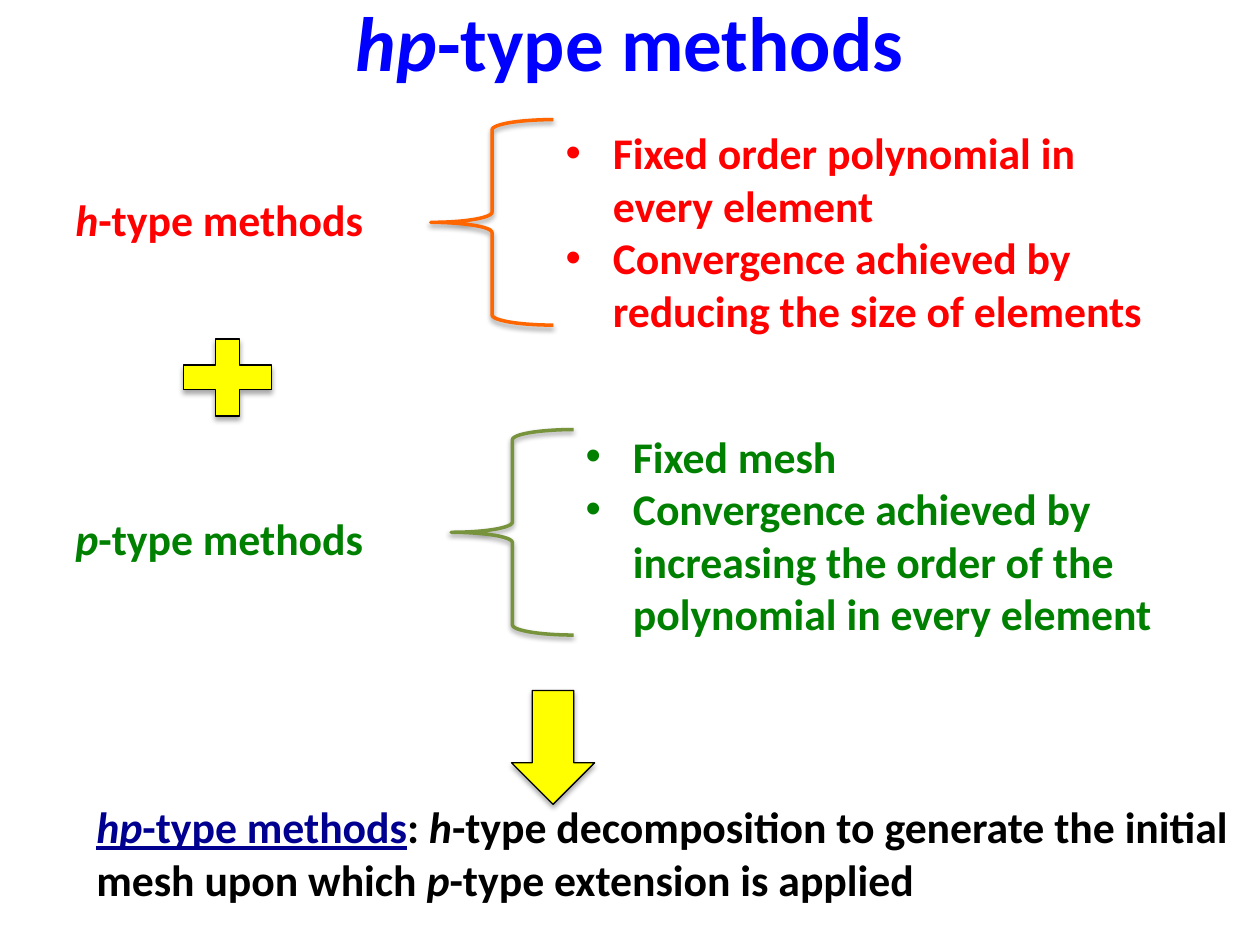
"""Builds a slide that explains hp-type methods."""
from dataclasses import dataclass
from typing import Optional

from lxml import etree
from pptx import Presentation
from pptx.dml.color import RGBColor
from pptx.enum.shapes import MSO_SHAPE
from pptx.enum.text import MSO_ANCHOR, PP_ALIGN
from pptx.oxml.ns import qn
from pptx.util import Pt

LEFT_BRACE, PLUS, DOWN_ARROW = MSO_SHAPE.LEFT_BRACE, MSO_SHAPE.MATH_PLUS, MSO_SHAPE.DOWN_ARROW
LEFT, CENTER = PP_ALIGN.LEFT, PP_ALIGN.CENTER
TOP, MIDDLE = MSO_ANCHOR.TOP, MSO_ANCHOR.MIDDLE
FONT = "Calibri"
BLUE, NAVY, RED, GREEN = "0000FF", "000090", "FF0000", "008000"
ORANGE, OLIVE, YELLOW, BLACK = "FF6600", "77933C", "FFFF00", "000000"
BULLET_INDENT = 27


@dataclass(frozen=True)
class Box:
    left: float
    top: float
    width: float
    height: float


@dataclass(frozen=True)
class Run:
    text: str
    italic: bool = False
    underline: bool = False
    color: Optional[str] = None


@dataclass(frozen=True)
class Method:
    letter: str
    color: str
    brace_color: str
    label: Box
    brace: Box
    details: Box
    points: tuple[str, ...]


METHODS = (
    Method("h", RED, ORANGE, Box(36, 106.6, 200, 37.4), Box(246.2, 68.4, 70, 117.4),
           Box(316.1, 68.4, 368, 128),
           ("Fixed order polynomial in every element",
            "Convergence achieved by reducing the size of elements")),
    Method("p", GREEN, OLIVE, Box(36, 288.7, 200, 37.4), Box(257.8, 245.5, 70, 117.4),
           Box(327.6, 241.9, 381.6, 128),
           ("Fixed mesh",
            "Convergence achieved by increasing the order of the polynomial in every element")),
)


def rgb(color: str) -> RGBColor:
    """Turn a hex string into a colour."""
    return RGBColor.from_string(color)


def add_bullet(paragraph) -> None:
    """Give a paragraph a round bullet with a hanging indent."""
    properties = paragraph._p.get_or_add_pPr()
    properties.set("marL", str(Pt(BULLET_INDENT)))
    properties.set("indent", str(-Pt(BULLET_INDENT)))
    etree.SubElement(properties, qn("a:buFont"), typeface="Arial")
    etree.SubElement(properties, qn("a:buChar"), char="•")


def add_text(slide, box: Box, paragraphs, *, color: str, size: float = 25,
             align=LEFT, anchor=TOP, bullets: bool = False) -> None:
    """Add a bold text box whose paragraphs are sequences of runs."""
    shape = slide.shapes.add_textbox(Pt(box.left), Pt(box.top), Pt(box.width), Pt(box.height))
    frame = shape.text_frame
    frame.word_wrap = True
    frame.vertical_anchor = anchor
    for index, runs in enumerate(paragraphs):
        paragraph = frame.add_paragraph() if index else frame.paragraphs[0]
        if bullets:
            add_bullet(paragraph)
        paragraph.alignment = align
        for item in runs:
            run = paragraph.add_run()
            run.text = item.text
            font = run.font
            font.name, font.size, font.bold = FONT, Pt(size), True
            font.italic, font.underline = item.italic, item.underline
            font.color.rgb = rgb(item.color or color)


def add_shadow(shape, distance: float, opacity: int) -> None:
    """Give a shape a soft shadow that falls straight down."""
    shape.shadow.inherit = False
    effects = shape.element.spPr.find(qn("a:effectLst"))
    shadow = etree.SubElement(effects, qn("a:outerShdw"), blurRad=str(Pt(3.1)),
                              dist=str(Pt(distance)), dir="5400000", rotWithShape="0")
    tint = etree.SubElement(shadow, qn("a:srgbClr"), val=BLACK)
    etree.SubElement(tint, qn("a:alpha"), val=str(opacity * 1000))


def add_figure(slide, kind, box: Box, *, line: str, line_width: float,
               distance: float, opacity: int, fill: Optional[str] = None) -> None:
    """Add a preset shape with a line, an optional fill and a shadow."""
    shape = slide.shapes.add_shape(kind, Pt(box.left), Pt(box.top), Pt(box.width), Pt(box.height))
    if fill:
        shape.fill.solid()
        shape.fill.fore_color.rgb = rgb(fill)
    else:
        shape.fill.background()
    shape.line.color.rgb = rgb(line)
    shape.line.width = Pt(line_width)
    add_shadow(shape, distance, opacity)


def add_method(slide, method: Method) -> None:
    """Add a method's name, its brace and its bulleted properties."""
    add_text(slide, method.label, [(Run(method.letter, italic=True), Run("-type methods"))],
             color=method.color)
    add_figure(slide, LEFT_BRACE, method.brace, line=method.brace_color, line_width=2,
               distance=1.6, opacity=38)
    add_text(slide, method.details, [(Run(point),) for point in method.points],
             color=method.color, bullets=True)


def main() -> None:
    """Build and save the presentation."""
    presentation = Presentation()
    presentation.slide_width, presentation.slide_height = Pt(720), Pt(540)
    slide = presentation.slides.add_slide(presentation.slide_layouts[6])
    add_text(slide, Box(36, -21.6, 648, 90), [(Run("hp", italic=True), Run("-type methods"))],
             color=BLUE, size=44, align=CENTER, anchor=MIDDLE)
    for method in METHODS:
        add_method(slide, method)
    for kind, box in ((PLUS, Box(95.8, 185.8, 68.4, 59.8)),
                      (DOWN_ARROW, Box(292.3, 394.6, 47.5, 65))):
        add_figure(slide, kind, box, fill=YELLOW, line=BLACK, line_width=0.75,
                   distance=1.8, opacity=35)
    summary = (
        Run("hp", italic=True, underline=True, color=NAVY),
        Run("-type methods", underline=True, color=NAVY),
        Run(": "),
        Run("h", italic=True),
        Run("-type decomposition to generate the initial mesh upon which "),
        Run("p", italic=True),
        Run("-type extension is applied"),
    )
    add_text(slide, Box(48, 453.6, 661.2, 98), [summary], color=BLACK)
    presentation.save("out.pptx")


if __name__ == "__main__":
    main()
